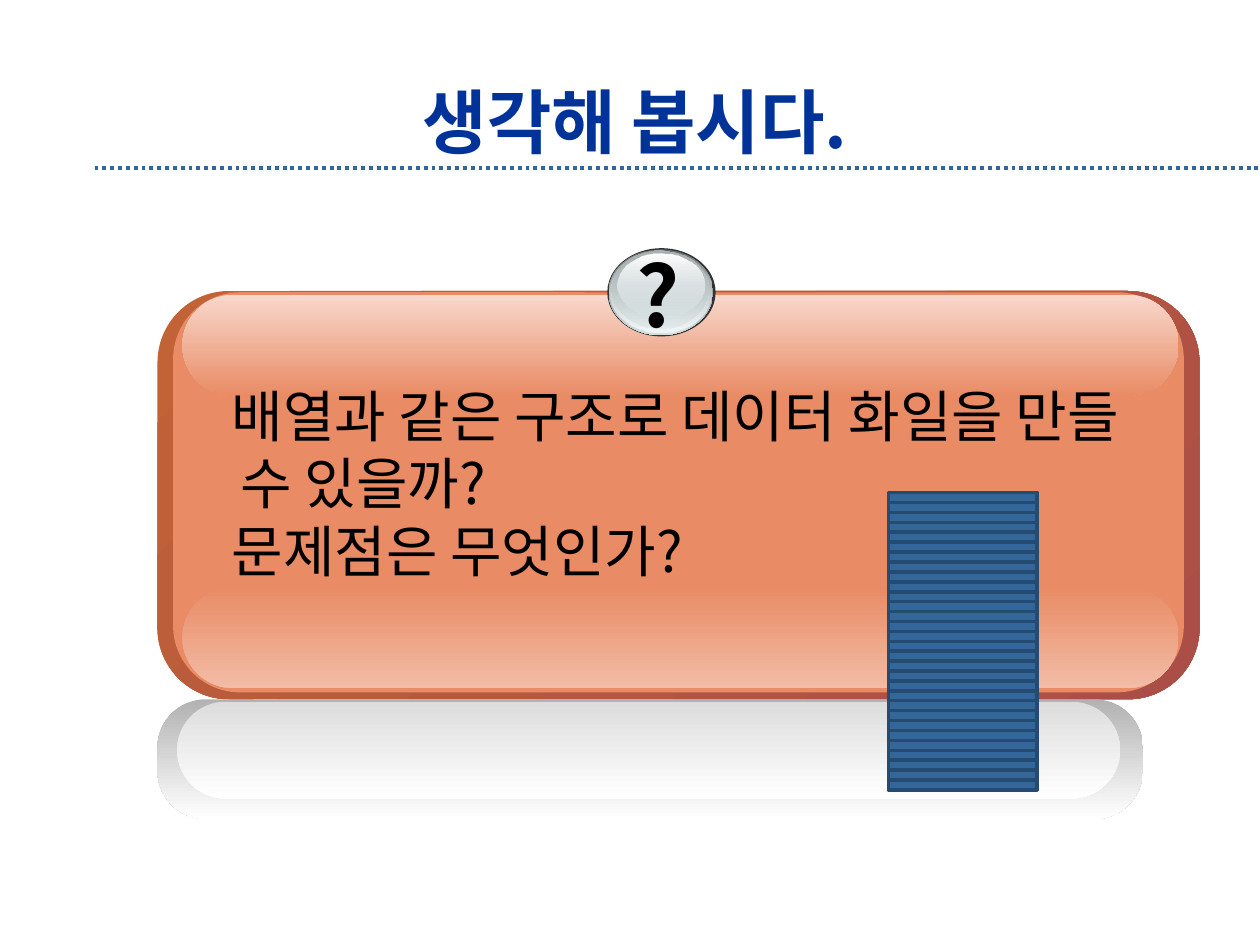
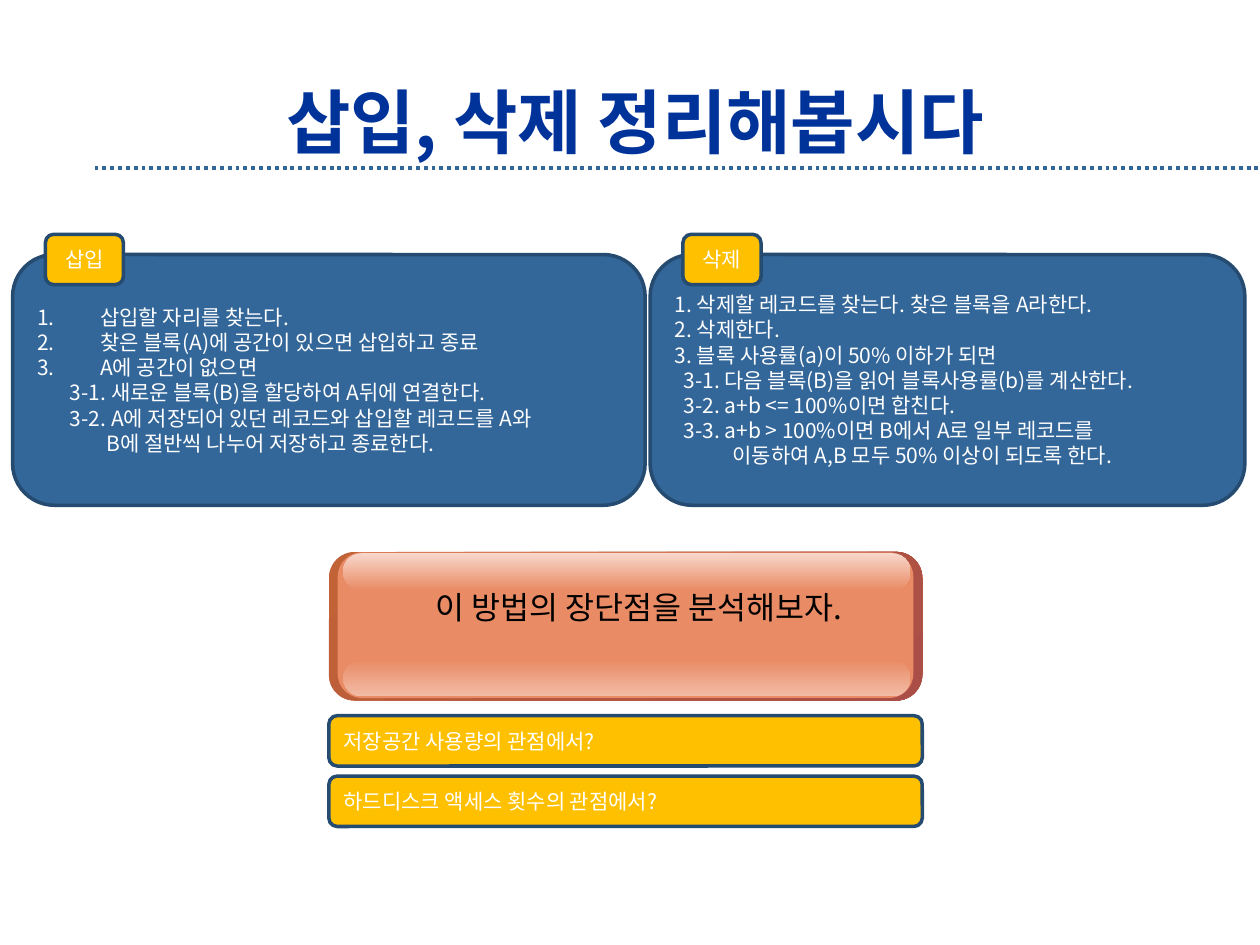
from dataclasses import dataclass

from lxml.etree import SubElement as Sub
from pptx import Presentation
from pptx.dml.color import RGBColor as Rgb
from pptx.enum.dml import MSO_LINE as Dash
from pptx.enum.shapes import MSO_CONNECTOR as Wire, MSO_SHAPE as Kind
from pptx.enum.text import MSO_ANCHOR as Anchor, PP_ALIGN as Align
from pptx.oxml.ns import qn
from pptx.util import Inches, Pt


@dataclass(frozen=True)
class Theme:
    font: str = "Noto Sans CJK KR"
    # Colours
    title: str = "003399"
    blue: str = "336699"
    edge: str = "264B71"
    gold: str = "FFC000"
    white: str = "FFFFFF"
    black: str = "000000"
    orange: str = "E98B65"
    rim: tuple = ("C16237", "AB4E47")
    shine: tuple = ("F8D8CC", "E98B65")
    glow: tuple = ("E98B65", "F2BCA6")
    # Type sizes and line widths, in points
    head: int = 40
    mark: int = 48
    big: int = 32
    mid: int = 18
    small: int = 12
    rule: float = 2.25
    line: int = 2


T = Theme()


@dataclass(frozen=True)
class Line:
    text: str
    left: float = 0
    first: float = 0
    auto: bool = False


def put(obj, **vals):
    for key, val in vals.items():
        setattr(obj, key, val)


def rgb(code):
    return Rgb.from_string(code)


def spot(box):
    return [Inches(v) for v in box]


def part(box, x, y, w, h):
    """Turn fractions of a box into a box of its own."""
    left, top, wide, high = box
    return left + x * wide, top + y * high, w * wide, h * high


def blend(shape, ends, angle=90):
    """Fill with two colours; an end may be (colour, opacity in percent)."""
    shape.fill.gradient()
    shape.fill.gradient_angle = 360 - angle
    pairs = [(e, 100) if isinstance(e, str) else e for e in ends]
    for stop, (code, _) in zip(shape.fill.gradient_stops, pairs):
        stop.color.rgb = rgb(code)
    nodes = shape.element.spPr.iter(qn("a:srgbClr"))
    for node, (_, clear) in zip(nodes, pairs):
        if clear < 100:
            Sub(node, qn("a:alpha"), val=str(clear * 1000))


def draw(slide, kind, box, fill, adj=None, edge=None, angle=90):
    shape = slide.shapes.add_shape(kind, *spot(box))
    shape.shadow.inherit = False
    if adj is not None:
        shape.adjustments[0] = adj
    if isinstance(fill, str):
        shape.fill.solid()
        shape.fill.fore_color.rgb = rgb(fill)
    else:
        blend(shape, fill, angle)
    if edge:
        shape.line.color.rgb = rgb(edge)
        shape.line.width = Pt(T.line)
    else:
        shape.line.fill.background()
    return shape


def write(shape, lines, size, color, bold=False, align=Align.LEFT,
          anchor=Anchor.MIDDLE, wrap=True):
    frame = shape.text_frame
    put(frame, word_wrap=wrap, vertical_anchor=anchor)
    for i, line in enumerate(lines):
        para = frame.add_paragraph() if i else frame.paragraphs[0]
        para.alignment = align
        run = para.add_run()
        run.text = line.text
        put(run.font, name=T.font, size=Pt(size), bold=bold)
        run.font.color.rgb = rgb(color)
        Sub(run.font._element, qn("a:ea"), typeface=T.font)
        # Indents and numbers
        props = para._p.get_or_add_pPr()
        props.set("marL", str(Inches(line.left)))
        props.set("indent", str(Inches(line.first)))
        if line.auto:
            Sub(props, qn("a:buFont"), typeface="+mj-lt")
            Sub(props, qn("a:buAutoNum"), type="arabicPeriod")


def label(slide, box, lines, size, color, **form):
    write(slide.shapes.add_textbox(*spot(box)), lines, size, color, **form)


def header(slide, text):
    """Title over a dotted rule."""
    rule = slide.shapes.add_connector(
        Wire.STRAIGHT, *spot((0.75, 1.33, 10, 1.33)))
    put(rule.line, width=Pt(T.rule), dash_style=Dash.ROUND_DOT)
    rule.line.color.rgb = rgb(T.blue)
    Sub(rule.element.spPr, qn("a:effectLst"))
    label(slide, (0.75, 0.67, 8.58, 0.58), [Line(text)], T.head, T.title,
          bold=True, align=Align.CENTER)


def card(slide, box):
    """Glossy orange card: rim, face, lower glow, upper shine."""
    kind = Kind.ROUNDED_RECTANGLE
    draw(slide, kind, box, T.rim, 0.175, angle=45)
    draw(slide, kind, part(box, 0.015, 0.003, 0.97, 0.98), T.orange, 0.167)
    for y, fill in ((0.725, T.glow), (0.009, T.shine)):
        draw(slide, kind, part(box, 0.024, y, 0.956, 0.247), fill, 0.5)


def mirror(slide, box):
    """Grey reflection under the card."""
    kind = Kind.ROUNDED_RECTANGLE
    draw(slide, kind, box, ("B2B2B2", T.white), 0.404)
    draw(slide, kind, part(box, 0.02, 0.02, 0.957, 0.81),
         ("DDDDDD", T.white), 0.5)


def orb(slide, x, y):
    """Silver button with a question mark."""
    rings = (
        (0, 0, 0.86, 0.7, "333333"),
        (0.01, 0.01, 0.83, 0.68, ("636869", "D6E1E2")),
        (0.02, 0.01, 0.81, 0.66, (("D6E1E2", 0), "F1F5F5")),
        (0.03, 0.02, 0.77, 0.62, ("AAB2B3", ("D6E1E2", 48))),
        (0.08, 0.04, 0.69, 0.5, (T.white, ("D6E1E2", 38))),
    )
    for dx, dy, w, h, fill in rings:
        draw(slide, Kind.OVAL, (x + dx, y + dy, w, h), fill)
    label(slide, (x + 0.13, y - 0.09, 0.58, 0.91), [Line("?")], T.mark,
          T.black, bold=True, anchor=Anchor.TOP, wrap=False)


def stack(slide, box, count):
    """Pile of equal bars."""
    for i in range(count):
        draw(slide, Kind.RECTANGLE, part(box, 0, i / count, 1, 1 / count),
             T.blue, edge=T.edge)


def bar(slide, box, text, align=Align.LEFT):
    """Gold bar with one line of text."""
    shape = draw(slide, Kind.ROUNDED_RECTANGLE, box, T.gold, edge=T.edge)
    write(shape, [Line(text)], T.small, T.white, align=align)


def panel(slide, box, name, lines):
    """Blue panel of steps with a gold tab."""
    shape = draw(slide, Kind.ROUNDED_RECTANGLE, box, T.blue, edge=T.edge)
    write(shape, lines, T.small, T.white)
    bar(slide, (box[0] + 0.26, box[1] - 0.16, 0.62, 0.4), name, Align.CENTER)


def think(slide):
    header(slide, "생각해 봅시다.")
    card(slide, (1.25, 2.31, 8.27, 3.24))
    asks = ("배열과 같은 구조로 데이터 화일을 만들 수 있을까?",
            "문제점은 무엇인가?")
    label(slide, (1.25, 2.98, 7.91, 1.72),
          [Line(ask, 0.56, -0.07) for ask in asks],
          T.big, T.black, anchor=Anchor.TOP)
    orb(slide, 4.82, 1.97)
    mirror(slide, (1.25, 5.55, 7.82, 0.95))
    stack(slide, (7.05, 3.91, 1.18, 2.36), 30)


def review(slide):
    header(slide, "삽입, 삭제 정리해봅시다")
    # Steps
    steps = ("삽입할 자리를 찾는다.",
             "찾은 블록(A)에 공간이 있으면 삽입하고 종료",
             "A에 공간이 없으면")
    panel(slide, (0.1, 2.02, 5.02, 1.99), "삽입", [
        *(Line(step, 0.5, -0.5, True) for step in steps),
        Line("3-1. 새로운 블록(B)을 할당하여 A뒤에 연결한다.", 0.26),
        Line("3-2. A에 저장되어 있던 레코드와 삽입할 레코드를 A와", 0.26),
        Line("B에 절반씩 나누어 저장하고 종료한다.", 0.55),
    ])
    panel(slide, (5.16, 2.02, 4.72, 1.99), "삭제", [
        Line("1. 삭제할 레코드를 찾는다. 찾은 블록을 A라한다."),
        Line("2. 삭제한다."),
        Line("3. 블록 사용률(a)이 50% 이하가 되면"),
        Line("3-1. 다음 블록(B)을 읽어 블록사용률(b)를 계산한다.", 0.07),
        Line("3-2. a+b <= 100%이면 합친다.", 0.07),
        Line("3-3. a+b > 100%이면 B에서 A로 일부 레코드를", 0.07),
        Line("이동하여 A,B 모두 50% 이상이 되도록 한다.", 0.46),
    ])
    # Question and its two views
    card(slide, (2.61, 4.38, 4.71, 1.18))
    label(slide, (2.99, 4.62, 4.16, 0.4),
          [Line("이 방법의 장단점을 분석해보자.")], T.mid, T.black,
          align=Align.CENTER, anchor=Anchor.TOP)
    views = ("저장공간 사용량의 관점에서?", "하드디스크 액세스 횟수의 관점에서?")
    for i, view in enumerate(views):
        bar(slide, (2.61, 5.68 + i * 0.48, 4.71, 0.4), view)


def main():
    deck = Presentation()
    put(deck, slide_width=Inches(10), slide_height=Inches(7.5))
    for build in (think, review):
        build(deck.slides.add_slide(deck.slide_layouts[6]))
    deck.save("out.pptx")


if __name__ == "__main__":
    main()
